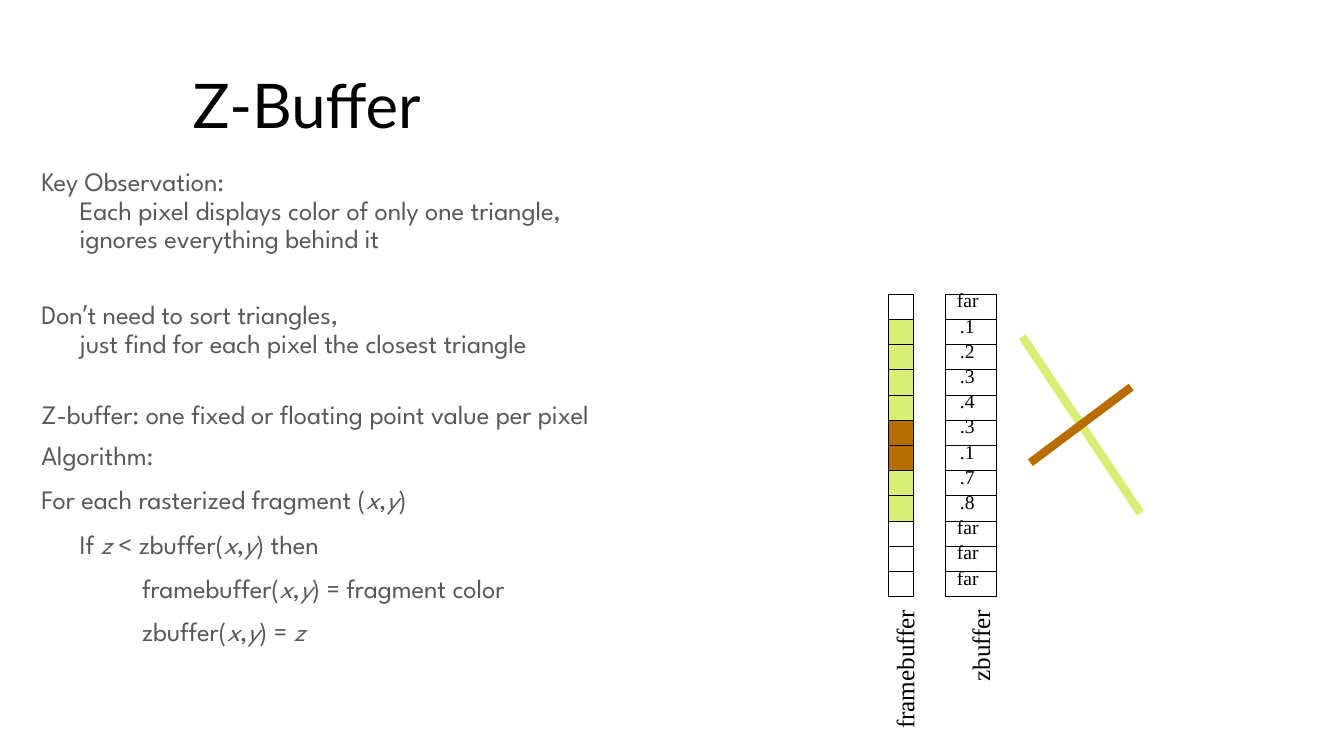
from dataclasses import dataclass

from lxml import etree
from pptx import Presentation
from pptx.dml.color import RGBColor
from pptx.enum.shapes import MSO_CONNECTOR, MSO_SHAPE
from pptx.enum.text import MSO_ANCHOR, MSO_AUTO_SIZE, PP_ALIGN
from pptx.oxml.ns import qn
from pptx.util import Inches, Pt

RECT = MSO_SHAPE.RECTANGLE
LINE = MSO_CONNECTOR.STRAIGHT
LEFT = PP_ALIGN.LEFT
TOP, MIDDLE = MSO_ANCHOR.TOP, MSO_ANCHOR.MIDDLE
FIXED = MSO_AUTO_SIZE.NONE


@dataclass(frozen=True)
class Theme:
    black: str = "000000"
    white: str = "FFFFFF"
    gray: str = "595959"
    mark: str = "6C6C6C"
    lime: str = "D8EE76"
    brown: str = "B86D00"
    head: str = "Lato"
    body: str = "League Spartan"
    serif: str = "Times New Roman"
    quote: str = "Noto Sans CJK JP"
    title: float = 44
    text: float = 19
    label: float = 18
    cell: float = 14
    thin: float = 0.75
    thick: float = 6


T = Theme()

TITLE = "Z-Buffer"
# text (*italic*), left margin, first-line indent, line spacing, space before
BODY = [
    ("Key Observation: \nEach pixel displays color of only one triangle,\n"
     "ignores everything behind it", 0.39, -0.38, 0.9, 0),
    ("Don|ʼ|t need to sort triangles, \njust find for each pixel the closest triangle",
     0.39, -0.38, Pt(21), 32.5),
    ("Z-buffer: one fixed or floating point value per pixel", 0.39, -0.38, Pt(21), 29.7),
    ("Algorithm:", 0.01, 0, 1.0, 6.8),
    ("For each rasterized fragment (*x*,*y*)", 0.39, -0.38, 1.0, 8.2),
    ("If *z *< zbuffer(*x*,*y*) then \nframebuffer(*x*,*y*) = fragment color",
     1.01, -0.62, Pt(31), 1.4),
    ("zbuffer(*x*,*y*) = *z*", 1.01, 0, 1.0, 8.2),
]
COLORS = [None] + [T.lime] * 4 + [T.brown] * 2 + [T.lime] * 2 + [None] * 3
DEPTHS = ["far", ".1", ".2", ".3", ".4", ".3", ".1", ".7", ".8", "far", "far", "far"]
EDGES = [(10.14, 3.34, 11.31, 5.09, T.lime), (11.22, 3.84, 10.22, 4.59, T.brown)]
LABELS = [("framebuffer", 8.82, 1.22), ("zbuffer", 9.57, 0.75)]

GRID_TOP, STEP = 2.92, 0.25
FRAME_X, DEPTH_X, DEPTH_W = 8.81, 9.38, 0.5
LABEL_Y, LABEL_W = 6.02, 0.3


def rgb(code):
    return RGBColor.from_string(code)


def style(font, name, size, color):
    font.name, font.size = name, Pt(size)
    font.color.rgb = rgb(color)


def indent(para, margin, first=0):
    props = para._p.get_or_add_pPr()
    props.set("marL", str(Inches(margin)))
    props.set("indent", str(Inches(first)))


def text_box(slide, *box):
    frame = slide.shapes.add_textbox(*map(Inches, box)).text_frame
    frame.word_wrap = True
    frame.margin_left = frame.margin_right = 0
    frame.margin_top = frame.margin_bottom = 0
    return frame


def add_run(para, text, gap=-6):
    """Add a run with its letter gap in hundredths of a point."""
    run = para.add_run()
    run.text = text
    run._r.get_or_add_rPr().set("spc", str(gap))
    return run


def fill_para(para, text):
    """Turn line ends into breaks, *...* into italics, |...| into the quote font."""
    for row, line in enumerate(text.split("\n")):
        if row:
            para.add_line_break()
        for i, part in enumerate(line.split("*")):
            for j, bit in enumerate(part.split("|")):
                if not bit:
                    continue
                run = add_run(para, bit, -250 if j % 2 else -6)
                if i % 2:
                    run.font.italic = True
                if j % 2:
                    style(run.font, T.quote, T.text, T.mark)


def add_title(slide):
    title = slide.shapes.title
    title.left, title.top = Inches(1.81), Inches(0.58)
    title.width, title.height = Inches(5.94), Inches(1)
    frame = title.text_frame
    frame.text = TITLE
    frame.auto_size, frame.vertical_anchor = FIXED, MIDDLE
    para = frame.paragraphs[0]
    para.alignment, para.line_spacing = LEFT, 0.9
    style(para.font, T.head, T.title, T.black)


def add_body(slide):
    frame = text_box(slide, 0.4, 1.67, 9.12, 4.75)
    for i, (text, margin, first, lead, before) in enumerate(BODY):
        para = frame.add_paragraph() if i else frame.paragraphs[0]
        indent(para, margin, first)
        para.line_spacing, para.space_before = lead, Pt(before)
        style(para.font, T.body, T.text, T.gray)
        fill_para(para, text)


def add_pixels(slide):
    for row, color in enumerate(COLORS):
        pixel = slide.shapes.add_shape(
            RECT, Inches(FRAME_X), Inches(GRID_TOP + row * STEP), Inches(STEP), Inches(STEP))
        pixel.shadow.inherit = False
        pixel.line.color.rgb, pixel.line.width = rgb(T.black), Pt(T.thin)
        if color:
            pixel.fill.solid()
            pixel.fill.fore_color.rgb = rgb(color)
        else:
            pixel.fill.background()


def add_border(cell):
    props = cell._tc.get_or_add_tcPr()
    for i, side in enumerate(("a:lnL", "a:lnR", "a:lnT", "a:lnB")):
        line = etree.Element(qn(side), w=str(Pt(T.thin)))
        fill = etree.SubElement(line, qn("a:solidFill"))
        etree.SubElement(fill, qn("a:srgbClr"), val=T.black)
        props.insert(i, line)


def add_depths(slide):
    count = len(DEPTHS)
    table = slide.shapes.add_table(count, 1, Inches(DEPTH_X), Inches(GRID_TOP),
                                   Inches(DEPTH_W), Inches(count * STEP)).table
    table.first_row = table.horz_banding = False
    for row, depth in enumerate(DEPTHS):
        table.rows[row].height = Inches(STEP)
        cell = table.cell(row, 0)
        cell.margin_left = cell.margin_right = cell.margin_top = cell.margin_bottom = 0
        cell.vertical_anchor = TOP
        cell.fill.solid()
        cell.fill.fore_color.rgb = rgb(T.white)
        add_border(cell)
        cell.text = depth
        para = cell.text_frame.paragraphs[0]
        indent(para, 0.11 if depth == "far" else 0.14)
        para.line_spacing = Pt(12.7)
        style(para.font, T.serif, T.cell, T.black)


def add_edges(slide):
    for x1, y1, x2, y2, color in EDGES:
        edge = slide.shapes.add_connector(LINE, *map(Inches, (x1, y1, x2, y2)))
        edge.line.color.rgb, edge.line.width = rgb(color), Pt(T.thick)
        etree.SubElement(edge._element.spPr, qn("a:effectLst"))


def add_labels(slide):
    for text, x, height in LABELS:
        frame = text_box(slide, x, LABEL_Y, LABEL_W, height)
        frame._txBody.bodyPr.set("vert", "vert270")
        para = frame.paragraphs[0]
        indent(para, 0.01)
        style(para.font, T.serif, T.label, T.black)
        add_run(para, text)


def main():
    deck = Presentation()
    deck.slide_width, deck.slide_height = Inches(13.33), Inches(7.5)
    slide = deck.slides.add_slide(deck.slide_layouts[5])
    for add in (add_pixels, add_edges, add_labels, add_depths, add_title, add_body):
        add(slide)
    deck.save("out.pptx")


if __name__ == "__main__":
    main()
